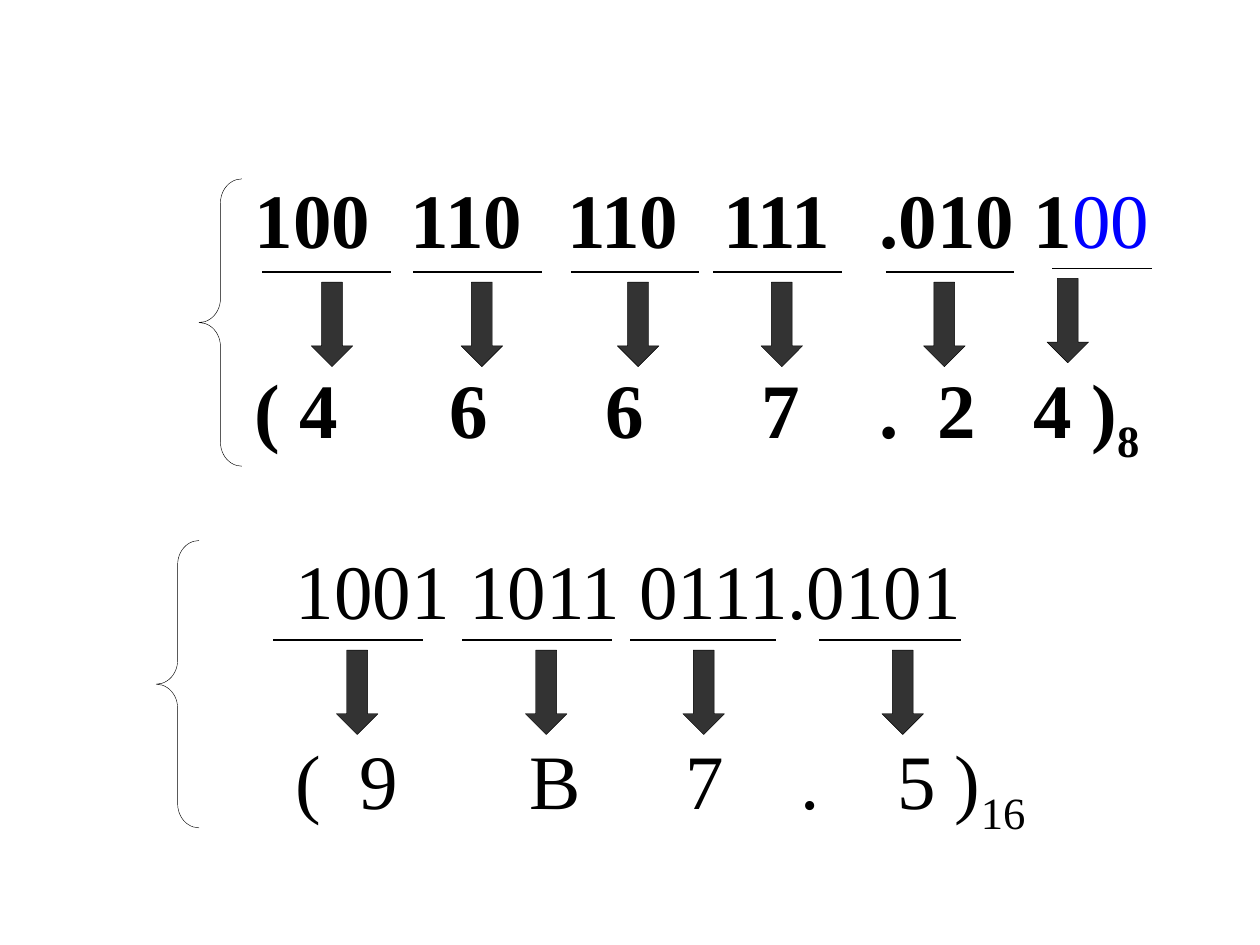
from lxml.etree import SubElement
from pptx import Presentation
from pptx.dml.color import RGBColor
from pptx.enum.shapes import MSO_CONNECTOR, MSO_SHAPE
from pptx.enum.text import MSO_ANCHOR, MSO_AUTO_SIZE, PP_ALIGN
from pptx.oxml.ns import qn
from pptx.util import Inches, Pt

BLACK = RGBColor(0x00, 0x00, 0x00)
BLUE = RGBColor(0x00, 0x00, 0xFF)
CHARCOAL = RGBColor(0x33, 0x33, 0x33)

COLUMNS, ROWS = 100, 75
CELL = Inches(0.1)
TAB = 12.4
BRACE_SIZE = (3.4, 22.8)
ARROW_SIZE = (3.3, 6.7)
ARROW_GAP = 0.8

# Each digit group: rule left, rule width, arrow left, lift (cells from the region's corner)
OCTAL_GROUPS = [
    (5, 10.2, 8.9, 0), (17, 10.2, 20.8, 0), (29.5, 10.2, 33.2, 0),
    (40.8, 10.2, 44.6, 0), (54.5, 10.2, 57.5, 0), (67.7, 7.9, 67.3, 0.3),
]
HEX_GROUPS = [
    (9.3, 11.9, 14.3, 0), (24.3, 11.9, 29.3, 0),
    (37.6, 11.6, 41.8, 0), (52.6, 11.3, 57.6, 0),
]
# Each run: text, colour, bold, subscript
OCTAL_LINES = [
    [("100\t110\t110\t111\t.010 1", BLACK, True, False), ("00", BLUE, False, False)],
    [("( 4\t  6\t  6\t  7\t.  2   4 )", BLACK, True, False), ("8", BLACK, True, True)],
]
HEX_LINES = [
    [("1001 1011 0111.0101", BLACK, False, False)],
    [("(  9\t    B\t    7    .    5 )", BLACK, False, False), ("16", BLACK, False, True)],
]


def cells(*counts):
    return [round(count * CELL) for count in counts]


def set_tabs(paragraph):
    stops = SubElement(paragraph._p.get_or_add_pPr(), qn("a:tabLst"))
    for number in range(1, 5):
        SubElement(stops, qn("a:tab"), pos=str(cells(number * TAB)[0]), algn="l")


def write_digits(frame, lines, anchor, top_margin):
    """Write the binary line and, below the arrows, its converted digits."""
    frame.word_wrap = True
    frame.auto_size = MSO_AUTO_SIZE.NONE
    frame.vertical_anchor = anchor
    frame.margin_top = Inches(top_margin)
    for index, line in enumerate(lines):
        paragraph = frame.add_paragraph() if index else frame.paragraphs[0]
        paragraph.alignment = PP_ALIGN.LEFT
        paragraph.line_spacing = 1.0
        paragraph.space_before = Pt(55.7 if index else 0)
        set_tabs(paragraph)
        for text, colour, bold, subscript in line:
            run = paragraph.add_run()
            run.text = text
            run.font.name = "Times New Roman"
            run.font.size = Pt(44)
            run.font.bold = bold
            run.font.color.rgb = colour
            if subscript:
                run._r.get_or_add_rPr().set("baseline", "-25000")


def add_rule(slide, left, top, width):
    start, level, end = cells(left, top, left + width)
    rule = slide.shapes.add_connector(MSO_CONNECTOR.STRAIGHT, start, level, end, level)
    rule.line.color.rgb = BLACK
    rule.line.width = Pt(1)
    SubElement(rule._element.spPr, qn("a:effectLst"))


def add_outlined(slide, kind, left, top, size, fill=None):
    shape = slide.shapes.add_shape(kind, *cells(left, top, *size))
    shape.shadow.inherit = False
    shape.line.color.rgb = BLACK
    shape.line.width = Pt(0.25)
    if fill is None:
        shape.fill.background()
    else:
        shape.fill.solid()
        shape.fill.fore_color.rgb = fill
    return shape


def add_conversion(slide, corner, groups, rule_row):
    """Brace the region and point each underlined bit group at its digit."""
    left, top = corner
    brace = add_outlined(slide, MSO_SHAPE.LEFT_BRACE, left, top, BRACE_SIZE)
    brace.adjustments[0] = 0.56
    for rule_left, rule_width, arrow_left, lift in groups:
        row = top + rule_row - lift
        add_rule(slide, left + rule_left, row, rule_width)
        add_outlined(slide, MSO_SHAPE.DOWN_ARROW, left + arrow_left, row + ARROW_GAP,
                     ARROW_SIZE, CHARCOAL)


def add_octal(slide, left, top):
    title = slide.shapes.title
    title.left, title.top, title.width, title.height = cells(left + 3.4, top - 1.7, 75.4, 29.1)
    write_digits(title.text_frame, OCTAL_LINES, MSO_ANCHOR.TOP, 0.11)
    add_conversion(slide, (left, top), OCTAL_GROUPS, 7.4)


def add_hexadecimal(slide, left, top):
    digits = slide.shapes.add_textbox(*cells(left + 10.1, top + 0.4, 63.6, 23))
    write_digits(digits.text_frame, HEX_LINES, MSO_ANCHOR.MIDDLE, 0.05)
    add_conversion(slide, (left, top), HEX_GROUPS, 7.9)


def main():
    deck = Presentation()
    deck.slide_width, deck.slide_height = cells(COLUMNS, ROWS)
    slide = deck.slides.add_slide(deck.slide_layouts[0])
    subtitle = slide.placeholders[1]._element
    subtitle.getparent().remove(subtitle)
    add_octal(slide, 15.8, 14.2)
    add_hexadecimal(slide, 12.4, 42.9)
    deck.save("out.pptx")


if __name__ == "__main__":
    main()
